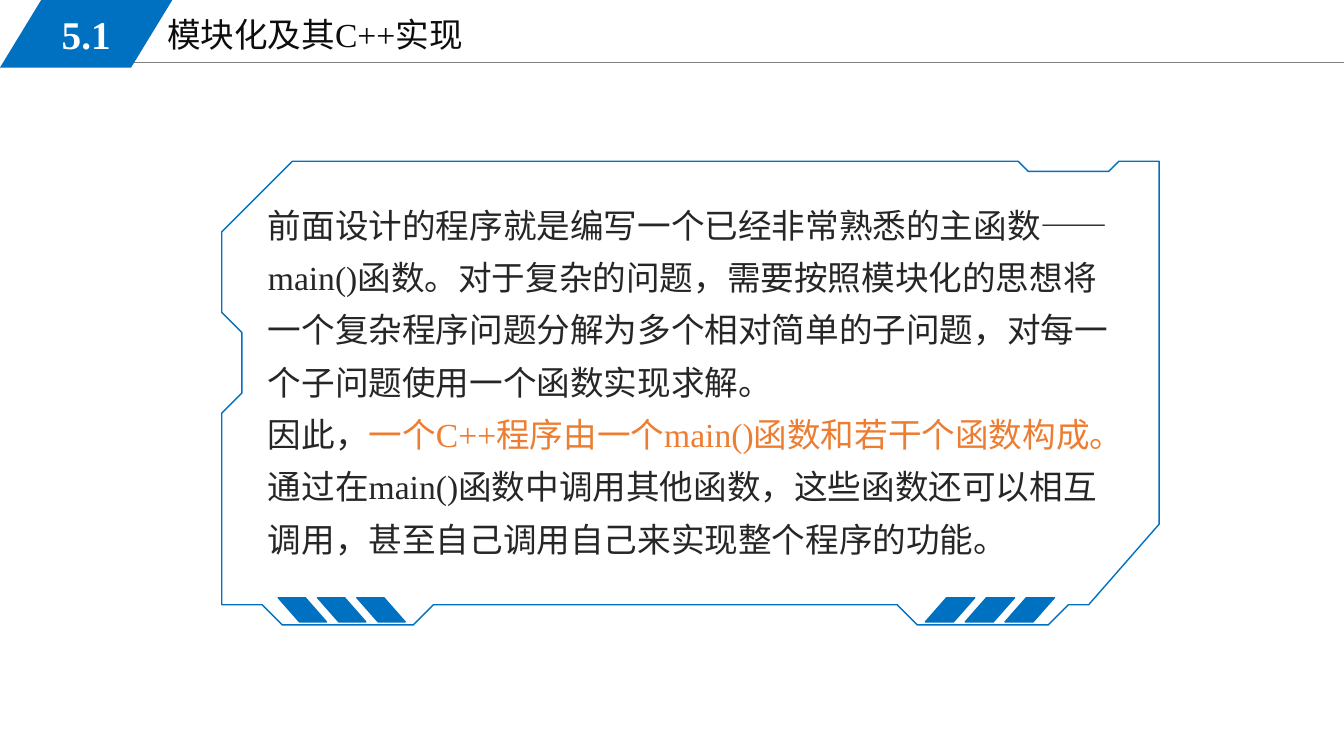
"""Build the slide on modular design and its C++ implementation."""
from dataclasses import dataclass
from typing import NamedTuple

from pptx import Presentation
from pptx.dml.color import RGBColor as Color
from pptx.enum.lang import MSO_LANGUAGE_ID as Language
from pptx.enum.shapes import MSO_CONNECTOR as Connector, MSO_SHAPE as Preset
from pptx.enum.text import MSO_ANCHOR as Anchor, PP_ALIGN as Align
from pptx.oxml.ns import qn
from pptx.oxml.xmlchemy import OxmlElement
from pptx.util import Inches, Pt

CELL = Inches(0.1)
COLUMNS, ROWS = 133.33, 75


@dataclass(frozen=True)
class Theme:
    """Colours, font and sizes of the slide."""
    accent: str = "0070C0"
    rule: str = "808080"
    title: str = "0D0D0D"
    body: str = "262626"
    highlight: str = "ED7D31"
    light: str = "FFFFFF"
    font: str = "Times New Roman"
    text_size: float = 24
    badge_size: float = 28
    rule_width: float = 0.75
    frame_width: float = 1


class Area(NamedTuple):
    """A rectangle in grid columns and rows."""
    left: float
    top: float
    width: float
    height: float


class Span(NamedTuple):
    """A stretch of text in one colour."""
    text: str
    color: str


@dataclass(frozen=True)
class Stripes:
    """A row of three slanted bars."""
    left: float
    pitch: float
    width: float
    mirrored: bool


THEME = Theme()
STRIPE_TOP, STRIPE_HEIGHT, STRIPE_SLANT, STRIPE_COUNT = 59.3, 2.4, 0.88, 3
STRIPE_ROWS = [
    Stripes(91.8, 3.95, 4.9, False),
    Stripes(27.6, 3.9, 4.8, True),
]
FRAME = [
    (91.2, 62.4), (103.8, 62.4), (105.9, 59.8), (107.8, 59.8),
    (114.6, 52.4), (114.6, 15.6), (111, 15.6), (110, 17.1),
    (101.6, 17.1), (100.7, 15.6), (29, 15.6), (22.3, 23),
    (22.3, 31.4), (23.8, 33), (23.8, 39.4), (22.3, 41),
    (22.3, 59.8), (26.1, 59.8), (28.2, 62.4), (40.9, 62.4),
    (43, 59.8), (89.1, 59.8),
]
BODY = [
    [Span("前面设计的程序就是编写一个已经非常熟悉的主函数——main()函数。"
          "对于复杂的问题，需要按照模块化的思想将一个复杂程序问题分解为多个相对简单的子问题，"
          "对每一个子问题使用一个函数实现求解。", THEME.body)],
    [Span("因此，", THEME.body),
     Span("一个C++程序由一个main()函数和若干个函数构成。", THEME.highlight),
     Span("通过在main()函数中调用其他函数，这些函数还可以相互调用，"
          "甚至自己调用自己来实现整个程序的功能。", THEME.body)],
]


def grid(cells: float) -> int:
    """Turn grid cells into a length."""
    return round(cells * CELL)


def write(para, text: str, *, color: str, size: float = THEME.text_size,
          bold: bool = False, align=None, spacing=None) -> None:
    """Append formatted text to a paragraph."""
    para.alignment = align
    para.line_spacing = spacing
    span = para.add_run()
    span.text = text
    font = span.font
    font.name, font.size, font.bold = THEME.font, Pt(size), bold
    font.color.rgb = Color.from_string(color)
    font.language_id = Language.SIMPLIFIED_CHINESE


def add_text(page, area: Area, paragraphs: list[list[Span]], spacing=None) -> None:
    """Add a wrapping text box."""
    box = page.shapes.add_textbox(*map(grid, area))
    frame = box.text_frame
    frame.word_wrap = True
    for index, spans in enumerate(paragraphs):
        para = frame.add_paragraph() if index else frame.paragraphs[0]
        for span in spans:
            write(para, span.text, color=span.color, spacing=spacing)


def add_slant(page, area: Area, slant: float, *, outlined: bool, mirrored: bool = False):
    """Add a filled parallelogram."""
    shape = page.shapes.add_shape(Preset.PARALLELOGRAM, *map(grid, area))
    shape.shadow.inherit = False
    shape.adjustments[0] = slant
    shape.fill.solid()
    shape.fill.fore_color.rgb = Color.from_string(THEME.accent)
    if outlined:
        shape.line.color.rgb = Color.from_string(THEME.accent)
        shape.line.width = Pt(THEME.frame_width)
    else:
        shape.line.fill.background()
    if mirrored:
        shape._element.spPr.find(qn("a:xfrm")).set("flipH", "1")
    return shape


def add_header(page) -> None:
    """Add the rule, the title and the section badge."""
    rule = page.shapes.add_connector(
        Connector.STRAIGHT, grid(11.3), grid(6.2), grid(COLUMNS), grid(6.2))
    rule.line.color.rgb = Color.from_string(THEME.rule)
    rule.line.width = Pt(THEME.rule_width)
    rule._element.spPr.append(OxmlElement("a:effectLst"))
    add_text(page, Area(15.6, 0.9, 56.7, 5.1), [[Span("模块化及其C++实现", THEME.title)]])
    badge = add_slant(page, Area(0, 0, 17.1, 6.7), 0.61, outlined=False)
    badge.text_frame.vertical_anchor = Anchor.MIDDLE
    write(badge.text_frame.paragraphs[0], "5.1", color=THEME.light,
          size=THEME.badge_size, bold=True, align=Align.CENTER)


def add_frame(page) -> None:
    """Add the cut-corner outline around the body."""
    start, *corners = FRAME
    builder = page.shapes.build_freeform(*start, scale=CELL)
    builder.add_line_segments(corners, close=True)
    outline = builder.convert_to_shape()
    outline.shadow.inherit = False
    outline.fill.background()
    outline.line.color.rgb = Color.from_string(THEME.accent)
    outline.line.width = Pt(THEME.frame_width)


def add_stripes(page, stripes: Stripes) -> None:
    """Add one row of slanted bars."""
    for index in range(STRIPE_COUNT):
        area = Area(stripes.left + index * stripes.pitch, STRIPE_TOP,
                    stripes.width, STRIPE_HEIGHT)
        add_slant(page, area, STRIPE_SLANT, outlined=True, mirrored=stripes.mirrored)


def main() -> None:
    """Build and save the deck."""
    deck = Presentation()
    deck.slide_width, deck.slide_height = grid(COLUMNS), grid(ROWS)
    page = deck.slides.add_slide(deck.slide_layouts[6])
    add_header(page)
    add_text(page, Area(25.6, 18.6, 87.3, 40.6), BODY, spacing=1.3)
    add_frame(page)
    for stripes in STRIPE_ROWS:
        add_stripes(page, stripes)
    deck.save("out.pptx")


if __name__ == "__main__":
    main()
